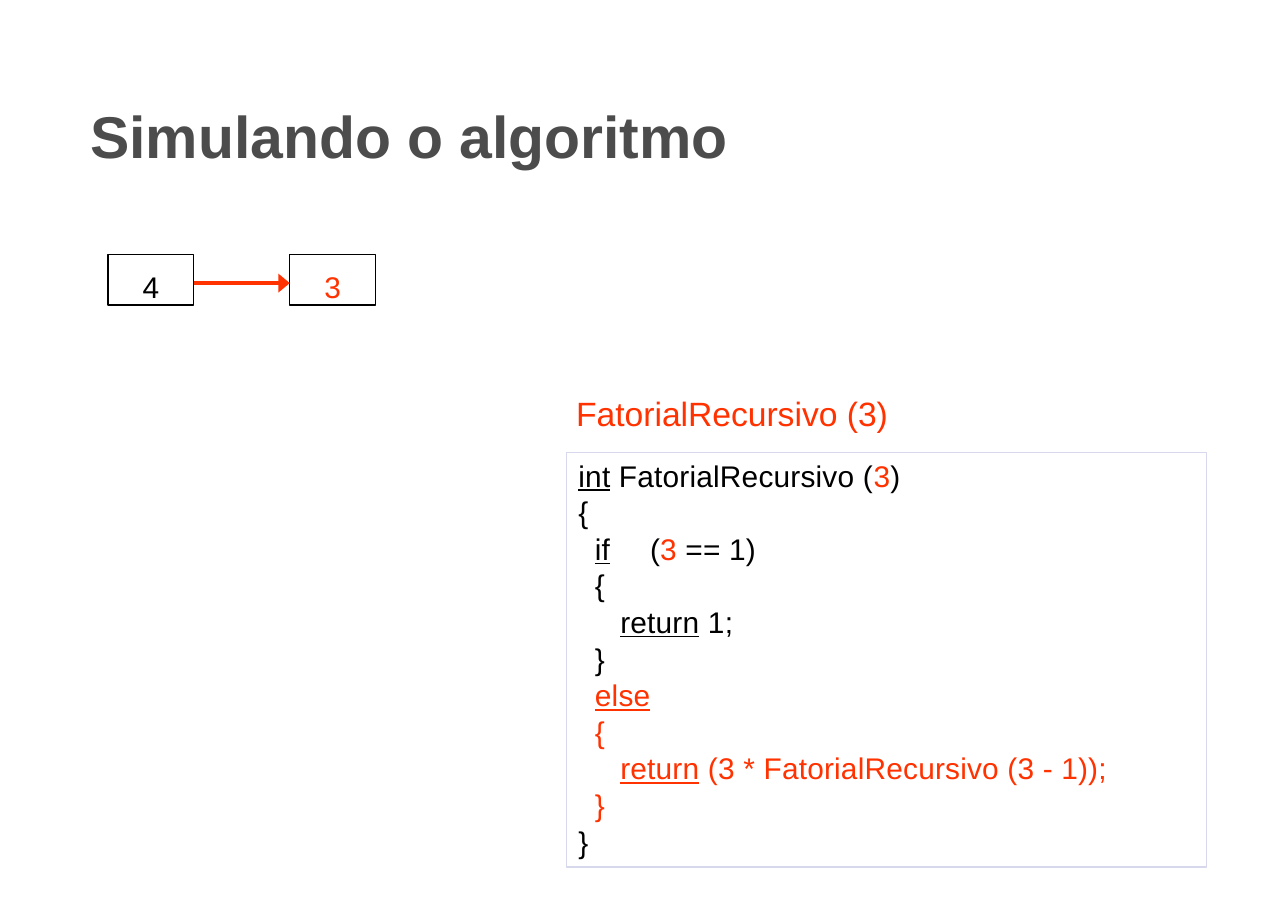
from lxml import etree
from pptx import Presentation
from pptx.dml.color import RGBColor
from pptx.enum.shapes import MSO_CONNECTOR, MSO_SHAPE
from pptx.enum.text import MSO_ANCHOR, MSO_AUTO_SIZE, PP_ALIGN
from pptx.oxml.ns import qn
from pptx.util import Inches, Pt

RECT = MSO_SHAPE.RECTANGLE
STRAIGHT = MSO_CONNECTOR.STRAIGHT
TOP = MSO_ANCHOR.TOP
FIXED = MSO_AUTO_SIZE.NONE
LEFT, CENTER = PP_ALIGN.LEFT, PP_ALIGN.CENTER

FONT = "Arial"
BLACK, RED, GREY, PALE = "000000", "FF3200", "4C4C4C", "D8D8EC"

TITLE = "Simulando o algoritmo"
CALL = "FatorialRecursivo (3)"
STEPS = [("4", BLACK), ("3", RED)]
# Each line: nesting level, colour, then (text, marks); "u" underlines, "r" is red
CODE = [
    (0, BLACK, [("int", "u"), (" FatorialRecursivo (", ""), ("3", "r"), (")", "")]),
    (0, BLACK, [("{", "")]),
    (1, BLACK, [("if", "u"), ("\t(", ""), ("3 ", "r"), ("== 1)", "")]),
    (1, BLACK, [("{", "")]),
    (2, BLACK, [("return", "u"), (" 1;", "")]),
    (1, BLACK, [("}", "")]),
    (1, RED, [("else", "u")]),
    (1, RED, [("{", "")]),
    (2, RED, [("return", "u"), (" (3 * FatorialRecursivo (3 - 1));", "")]),
    (1, RED, [("}", "")]),
    (0, BLACK, [("}", "")]),
]
INDENTS = [0, 0.15, 0.38]
TAB = 0.93

STEP_X, STEP_Y, STEP_W, STEP_H = 0.98, 2.31, 0.78, 0.46
PITCH = 1.65


def rgb(color):
    return RGBColor.from_string(color)


def style(par, size, color, align=LEFT, bold=False):
    par.alignment = align
    par.font.name = FONT
    par.font.size = Pt(size)
    par.font.bold = bold
    par.font.color.rgb = rgb(color)


def set_frame(shape, left, top):
    frame = shape.text_frame
    frame.word_wrap = True
    frame.auto_size = FIXED
    frame.vertical_anchor = TOP
    frame.margin_left, frame.margin_top = Inches(left), Inches(top)
    frame.margin_right = frame.margin_bottom = 0
    return frame


def add_box(slide, x, y, w, h, line):
    box = slide.shapes.add_shape(RECT, Inches(x), Inches(y), Inches(w), Inches(h))
    box.shadow.inherit = False
    box.fill.background()
    box.line.color.rgb = rgb(line)
    box.line.width = Pt(0.83)
    return box


def add_title(slide):
    title = slide.shapes.title
    title.left, title.top = Inches(0.8), Inches(0.55)
    title.width, title.height = Inches(10.09), Inches(1)
    frame = set_frame(title, 0.02, 0.35)
    frame.text = TITLE
    style(frame.paragraphs[0], 38.5, GREY, bold=True)


def add_arrow(slide, x1, x2, y):
    arrow = slide.shapes.add_connector(
        STRAIGHT, Inches(x1), Inches(y), Inches(x2), Inches(y))
    arrow.line.color.rgb = rgb(RED)
    arrow.line.width = Pt(2.5)
    etree.SubElement(arrow.line._get_or_add_ln(), qn("a:tailEnd"),
                     type="triangle", w="lg", len="med")
    etree.SubElement(arrow._element.spPr, qn("a:effectLst"))


def add_steps(slide):
    for i, (num, color) in enumerate(STEPS):
        x = STEP_X + i * PITCH
        box = add_box(slide, x, STEP_Y, STEP_W, STEP_H, BLACK)
        frame = set_frame(box, 0, 0.13)
        frame.text = num
        style(frame.paragraphs[0], 19.5, color, CENTER)
        if i:
            add_arrow(slide, x - PITCH + STEP_W, x, STEP_Y + 0.26)


def add_call(slide):
    label = slide.shapes.add_textbox(
        Inches(5.22), Inches(3.57), Inches(2.87), Inches(0.38))
    frame = set_frame(label, 0.01, 0)
    frame.text = CALL
    style(frame.paragraphs[0], 22, RED)


def add_code(slide):
    frame = set_frame(add_box(slide, 5.14, 4.11, 5.81, 3.76, PALE), 0.11, 0.04)
    for i, (level, color, parts) in enumerate(CODE):
        par = frame.add_paragraph() if i else frame.paragraphs[0]
        props = par._p.get_or_add_pPr()
        props.set("marL", str(Inches(INDENTS[level])))
        props.set("indent", "0")
        if i:
            par.space_before = Pt(0.5)
        if any("\t" in text for text, _ in parts):
            tabs = etree.SubElement(props, qn("a:tabLst"))
            etree.SubElement(tabs, qn("a:tab"), pos=str(Inches(TAB)), algn="l")
        style(par, 19.5, color)
        for text, marks in parts:
            run = par.add_run()
            run.text = text
            run._r.get_or_add_rPr().set("spc", "10")
            if "u" in marks:
                run.font.underline = True
            if "r" in marks:
                run.font.color.rgb = rgb(RED)


def main():
    deck = Presentation()
    deck.slide_width, deck.slide_height = Inches(11.69), Inches(8.26)
    slide = deck.slides.add_slide(deck.slide_layouts[5])
    add_title(slide)
    add_steps(slide)
    add_call(slide)
    add_code(slide)
    deck.save("out.pptx")


if __name__ == "__main__":
    main()
